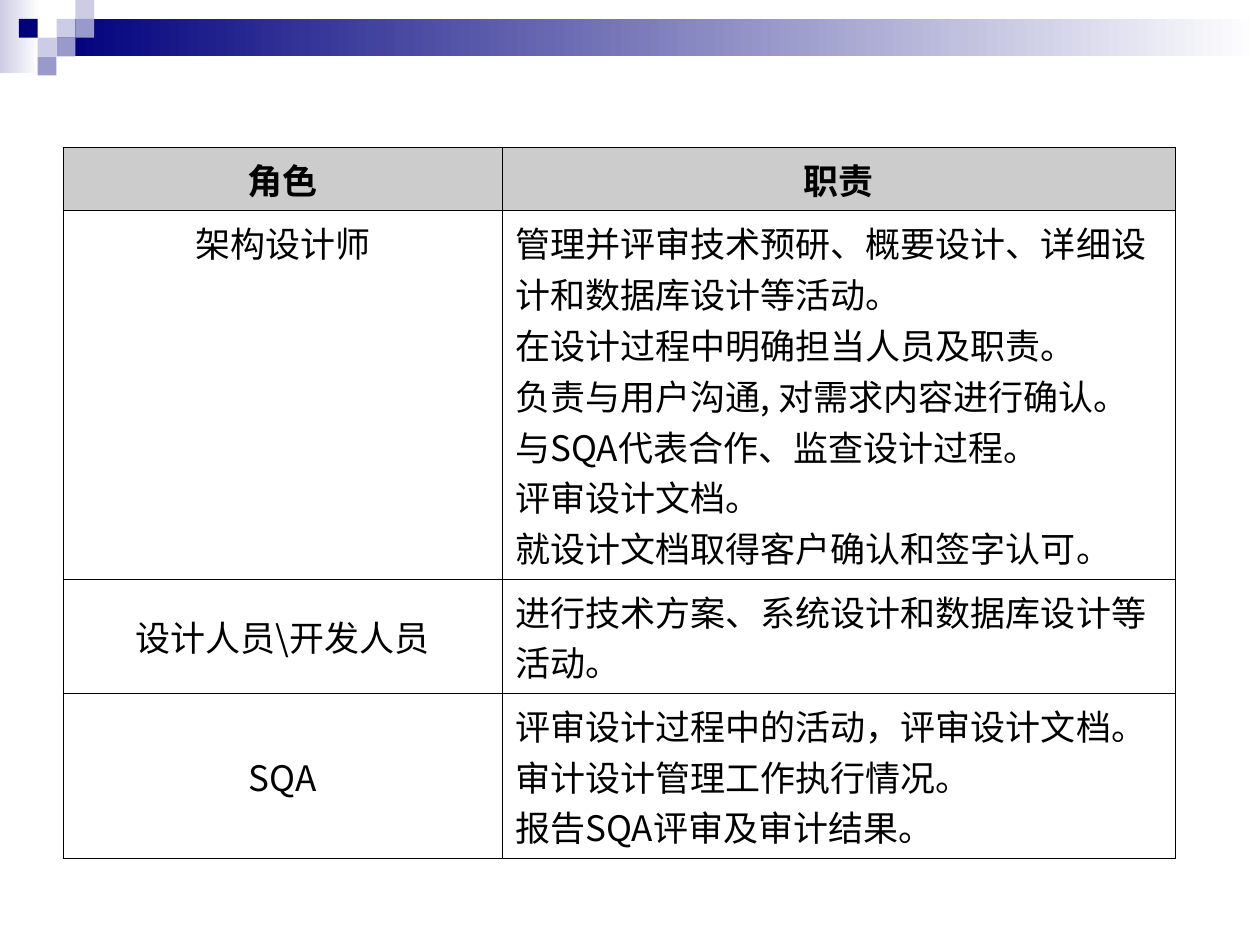
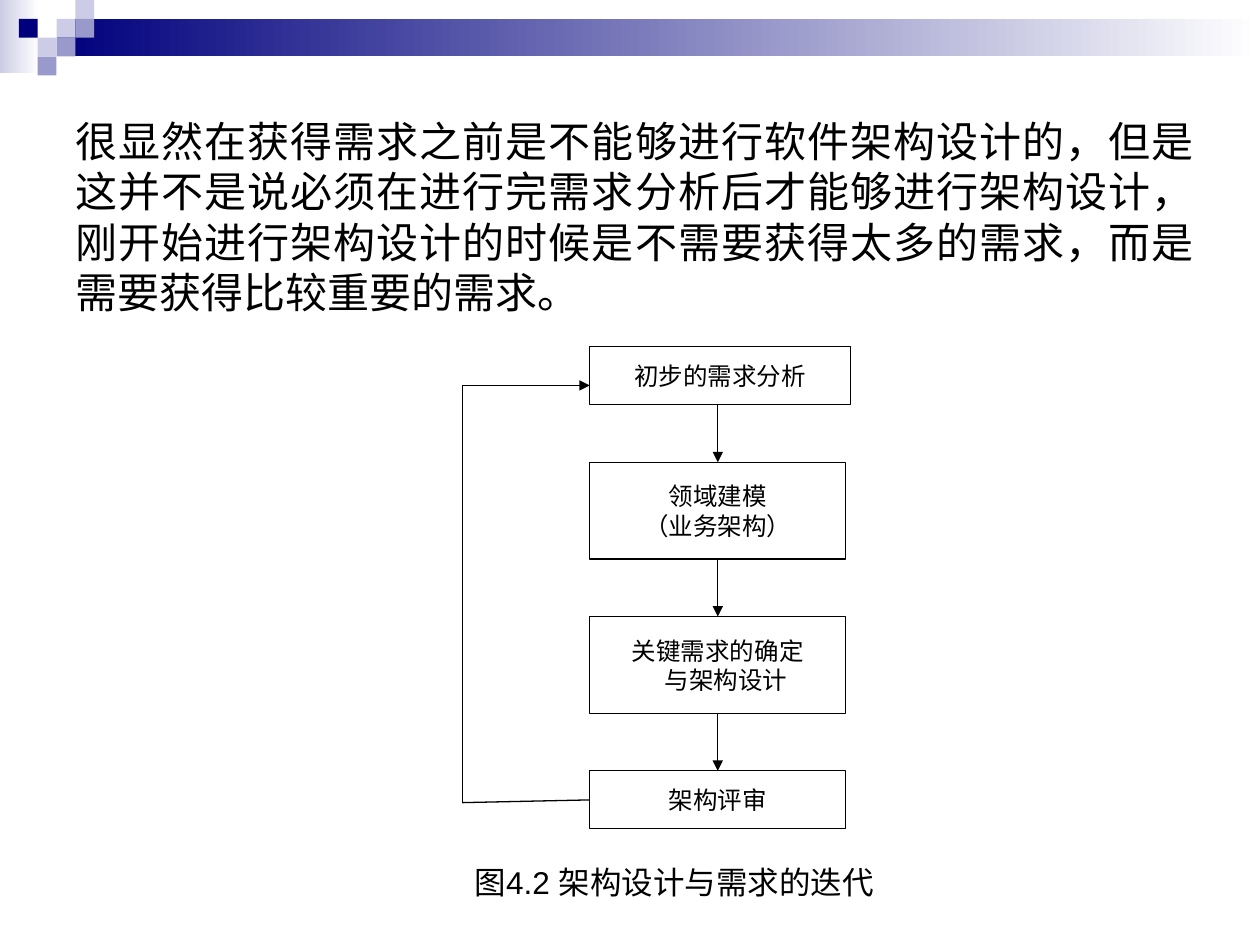
"""Build two slides on architecture design roles and the requirement loop."""
from dataclasses import dataclass
from itertools import pairwise
from typing import Any

from lxml.etree import SubElement as Sub
from pptx import Presentation
from pptx.dml.color import RGBColor
from pptx.enum.shapes import MSO_CONNECTOR as Link, MSO_SHAPE as Form
from pptx.enum.text import MSO_ANCHOR as Anchor, PP_ALIGN as Align
from pptx.oxml.ns import qn
from pptx.util import Cm, Pt

BLACK, WHITE, GREY = "000000", "FFFFFF", "CCCCCC"
NAVY, MID, LIGHT = "00007D", "9999CC", "CCCCE6"
SANS = "Noto Sans CJK SC"
UNIT = 0.38
TILES = [(3, 1, LIGHT), (4, 0, LIGHT), (4, 1, MID), (2, 2, LIGHT),
         (1, 1, NAVY), (3, 2, MID), (2, 3, MID)]
COLS = [8.86, 13.56]
ROWS = [1.09, 7.04, 1.96, 3.28]
DUTIES = [
    ("角色", ["职责"]),
    ("架构设计师", [
        "管理并评审技术预研、概要设计、详细设计和数据库设计等活动。",
        "在设计过程中明确担当人员及职责。",
        "负责与用户沟通, 对需求内容进行确认。",
        "与SQA代表合作、监查设计过程。",
        "评审设计文档。",
        "就设计文档取得客户确认和签字认可。"]),
    ("设计人员\\开发人员", ["进行技术方案、系统设计和数据库设计等活动。"]),
    ("SQA", [
        "评审设计过程中的活动，评审设计文档。",
        "审计设计管理工作执行情况。",
        "报告SQA评审及审计结果。"]),
]
INTRO = ("很显然在获得需求之前是不能够进行软件架构设计的，但是这并不是说必须在"
         "进行完需求分析后才能够进行架构设计，刚开始进行架构设计的时候是不需要"
         "获得太多的需求，而是需要获得比较重要的需求。")
BODY = {"name": SANS, "size": Pt(20), "bold": False}
HEAD = BODY | {"bold": True}
LEAD = {"name": SANS, "size": Pt(24)}
NOTE = {"name": "Arial", "size": Pt(18)}
STEP = {"name": "Calibri", "size": Pt(14)}
LEFT, TOP, GAP = 11.89, 6.99, 1.16
LOOP = [(9.32, 16.18), (9.32, 7.77), (LEFT, 7.77)]


@dataclass
class Box:
    """A step of the flow, with its size in centimetres."""
    lines: list[str]
    wide: float
    high: float
    shift: float = 0


STEPS = [
    Box(["初步的需求分析"], 5.26, 1.17),
    Box(["领域建模", "（业务架构）"], 5.16, 1.95),
    Box(["关键需求的确定", "与架构设计"], 5.16, 1.95, 0.34),
    Box(["架构评审"], 5.16, 1.17),
]


def tint(code: str) -> RGBColor:
    """Turn a hex string into a colour."""
    return RGBColor.from_string(code)


def put(item: Any, look: dict[str, Any]) -> None:
    """Set each attribute named in a dict of format values."""
    for name, value in look.items():
        setattr(item, name, value)


def write(frame: Any, lines: list[str], look: dict[str, Any], align: Align) -> None:
    """Fill a text frame with one paragraph per line."""
    for index, line in enumerate(lines):
        para = frame.add_paragraph() if index else frame.paragraphs[0]
        para.alignment = align
        run = para.add_run()
        run.text = line
        put(run.font, look)
        run.font.color.rgb = tint(BLACK)
        Sub(run.font._element, qn("a:ea"), typeface=look["name"])


def rect(slide: Any, left: float, top: float, wide: float, high: float,
         *codes: str) -> Any:
    """Draw a plain rectangle with a solid or two-stop gradient fill."""
    shape = slide.shapes.add_shape(Form.RECTANGLE, Cm(left), Cm(top), Cm(wide), Cm(high))
    shape.shadow.inherit = False
    shape.line.fill.background()
    if len(codes) == 1:
        shape.fill.solid()
        shape.fill.fore_color.rgb = tint(codes[0])
    else:
        shape.fill.gradient()
        shape.fill.gradient_angle = 0
        for place, (stop, code) in enumerate(zip(shape.fill.gradient_stops, codes)):
            stop.position = place
            stop.color.rgb = tint(code)
    return shape


def page(deck: Any) -> Any:
    """Add a slide with the shared band and tiles."""
    slide = deck.slides.add_slide(deck.slide_layouts[6])
    rect(slide, 0, 0, 0.79, 1.47, LIGHT, WHITE)
    rect(slide, 3 * UNIT, UNIT, 24.26, 2 * UNIT, NAVY, WHITE)
    for col, row, code in TILES:
        rect(slide, col * UNIT, row * UNIT, UNIT, UNIT, code)
    return slide


def edge(cell: Any) -> None:
    """Give a cell thin black borders, placed before its fill."""
    props = cell._tc.get_or_add_tcPr()
    for index, side in enumerate(("lnL", "lnR", "lnT", "lnB")):
        line = Sub(props, qn(f"a:{side}"), w=str(Pt(0.45)))
        Sub(Sub(line, qn("a:solidFill")), qn("a:srgbClr"), val=BLACK)
        props.insert(index, line)


def grid(slide: Any) -> None:
    """Draw the table of roles and duties."""
    table = slide.shapes.add_table(len(ROWS), len(COLS), Cm(1.27), Cm(2.97),
                                   Cm(sum(COLS)), Cm(sum(ROWS))).table
    put(table, {"first_row": False, "horz_banding": False})
    for col, wide in zip(table.columns, COLS):
        col.width = Cm(wide)
    for index, (row, high, (role, duty)) in enumerate(zip(table.rows, ROWS, DUTIES)):
        row.height = Cm(high)
        for col, lines in enumerate(([role], duty)):
            cell = row.cells[col]
            high_up = index == 0 or (index == 1 and col == 0)
            cell.vertical_anchor = Anchor.TOP if high_up else Anchor.MIDDLE
            if index:
                cell.fill.background()
            else:
                cell.fill.solid()
                cell.fill.fore_color.rgb = tint(GREY)
            edge(cell)
            align = Align.LEFT if index and col else Align.CENTER
            write(cell.text_frame, lines, BODY if index else HEAD, align)


def label(slide: Any, left: float, top: float, wide: float, high: float,
          text: str, look: dict[str, Any], align: Align) -> None:
    """Add a wrapped text box with tight line spacing."""
    frame = slide.shapes.add_textbox(Cm(left), Cm(top), Cm(wide), Cm(high)).text_frame
    put(frame, {"word_wrap": True, "margin_top": Cm(0.22)})
    write(frame, [text], look, align)
    frame.paragraphs[0].line_spacing = Pt(look["size"].pt * 1.2)


def join(slide: Any, start: tuple[int, int], end: tuple[int, int],
         arrow: bool = False) -> Any:
    """Draw a thin straight line, with an arrowhead if asked."""
    line = slide.shapes.add_connector(Link.STRAIGHT, *start, *end)
    line.line.color.rgb = tint(BLACK)
    line.line.width = Pt(0.75)
    props = line.element.spPr
    if arrow:
        Sub(props.find(qn("a:ln")), qn("a:tailEnd"), type="triangle")
    Sub(props, qn("a:effectLst"))
    return line


def flow(slide: Any) -> None:
    """Draw the steps, the arrows between them and the loop back."""
    shapes, top = [], TOP
    for step in STEPS:
        shape = rect(slide, LEFT, top, step.wide, step.high, WHITE)
        shape.line.color.rgb = tint(BLACK)
        shape.line.width = Pt(0.75)
        frame = shape.text_frame
        put(frame, {"word_wrap": True, "vertical_anchor": Anchor.MIDDLE})
        write(frame, step.lines, STEP, Align.CENTER)
        if step.shift:
            frame.paragraphs[-1]._p.get_or_add_pPr().set("marL", str(Cm(step.shift)))
        shapes.append(shape)
        top += step.high + GAP
    for upper, lower in pairwise(shapes):
        mid = lower.left + lower.width // 2
        line = join(slide, (mid, upper.top + upper.height), (mid, lower.top), True)
        if upper.width == lower.width:
            line.begin_connect(upper, 2)
        line.end_connect(lower, 0)
    last = shapes[-1]
    spots = [(last.left, last.top + last.height // 2)]
    spots += [(Cm(x), Cm(y)) for x, y in LOOP]
    lines = [join(slide, start, end, end == spots[-1]) for start, end in pairwise(spots)]
    lines[0].begin_connect(last, 1)


def main() -> None:
    """Build and save the deck."""
    deck = Presentation()
    put(deck, {"slide_width": Cm(25.4), "slide_height": Cm(19.05)})
    grid(page(deck))
    slide = page(deck)
    label(slide, 1.27, 2.11, 23.06, 4.32, INTRO, LEAD, Align.JUSTIFY)
    label(slide, 9.32, 17.17, 8.89, 1.02, "图4.2 架构设计与需求的迭代", NOTE, Align.LEFT)
    flow(slide)
    deck.save("out.pptx")


if __name__ == "__main__":
    main()
